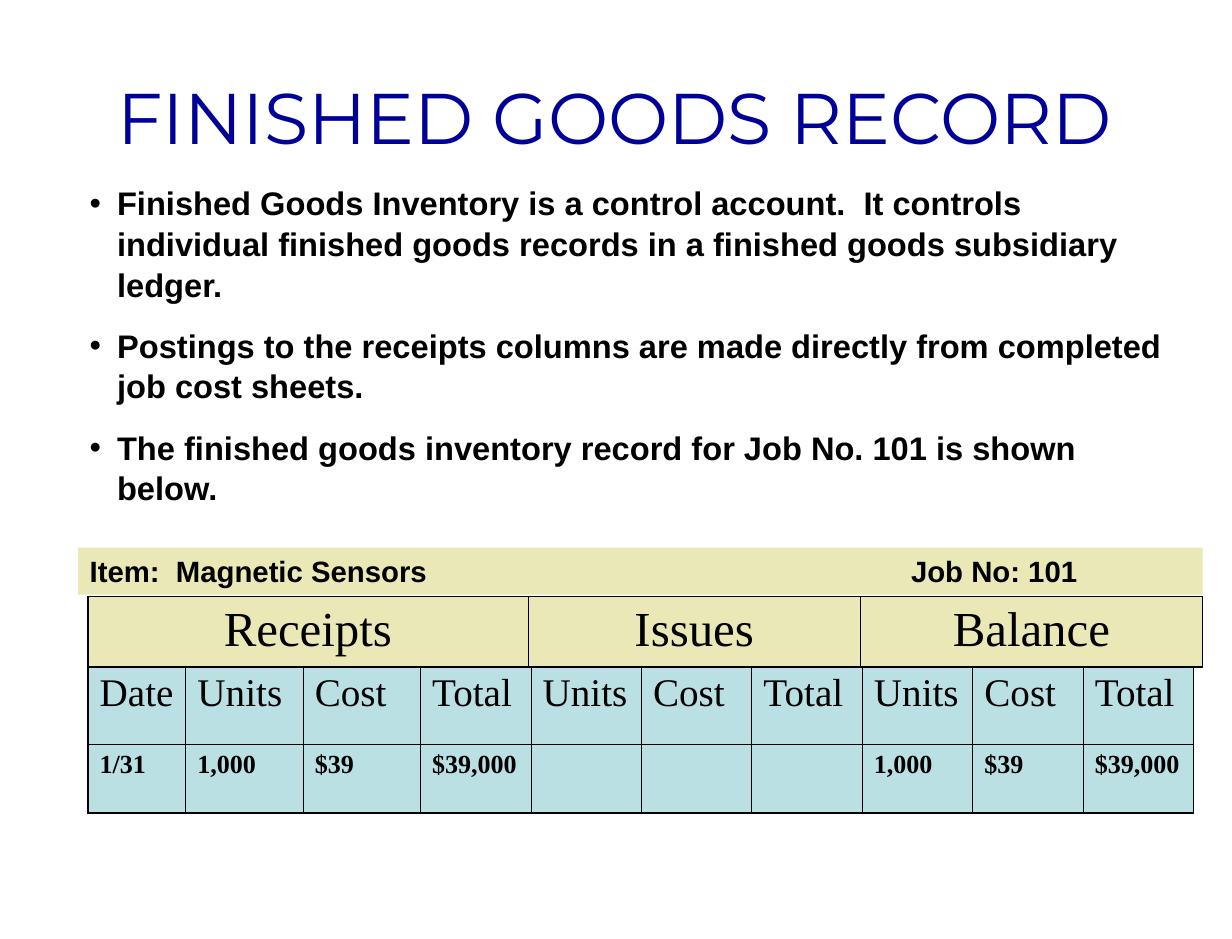
from lxml import etree
from pptx import Presentation
from pptx.dml.color import RGBColor
from pptx.enum.shapes import MSO_SHAPE
from pptx.enum.text import MSO_ANCHOR, PP_ALIGN
from pptx.oxml.ns import qn
from pptx.util import Pt

EMU_PER_PX = 7620  # 120 px to the inch
CENTER, LEFT = PP_ALIGN.CENTER, PP_ALIGN.LEFT
MIDDLE, TOP = MSO_ANCHOR.MIDDLE, MSO_ANCHOR.TOP
RECTANGLE = MSO_SHAPE.RECTANGLE

BLACK, NAVY, SAND, AQUA = "000000", "000099", "E9E8B6", "BBE0E3"
OUTER_LINE, INNER_LINE = 1.08, 0.45

TITLE = {"name": "Montserrat", "size": Pt(44), "bold": False}
BODY = {"name": "Arial", "size": Pt(20), "bold": True}
ITEM = {"name": "Arial", "size": Pt(18), "bold": True}
GROUP = {"name": "Times New Roman", "size": Pt(30), "bold": False}
HEADING = {"name": "Times New Roman", "size": Pt(24), "bold": False}
ENTRY = {"name": "Times New Roman", "size": Pt(16), "bold": True}

POINTS = [
    "Finished Goods Inventory is a control account.  It controls individual "
    "finished goods records in a finished goods subsidiary ledger.",
    "Postings to the receipts columns are made directly from completed job cost sheets.",
    "The finished goods inventory record for Job No. 101 is shown below.",
]
MEASURES = ["Units", "Cost", "Total"]
RECEIPT = ["1,000", "$39", "$39,000"]


def px(length):
    return round(length * EMU_PER_PX)


def color(hex_value):
    return RGBColor.from_string(hex_value)


class RecordSlide:
    def __init__(self, slide):
        self.slide = slide

    def add_text(self, para, text, style, ink=BLACK, align=LEFT):
        para.alignment = align
        span = para.add_run()
        span.text = text
        for name, value in style.items():
            setattr(span.font, name, value)
        span.font.color.rgb = color(ink)

    def text_box(self, bounds, anchor=TOP):
        box = self.slide.shapes.add_textbox(*map(px, bounds))
        box.text_frame.word_wrap = True
        box.text_frame.vertical_anchor = anchor
        return box.text_frame

    def title(self, text, bounds):
        frame = self.text_box(bounds, MIDDLE)
        self.add_text(frame.paragraphs[0], text, TITLE, NAVY, CENTER)

    def bullets(self, points, bounds, indent):
        frame = self.text_box(bounds)
        for index, point in enumerate(points):
            para = frame.add_paragraph() if index else frame.paragraphs[0]
            properties = para._p.get_or_add_pPr()
            properties.set("marL", str(px(indent)))
            properties.set("indent", str(-px(indent)))
            etree.SubElement(properties, qn("a:buFont"), typeface="Arial")
            etree.SubElement(properties, qn("a:buChar"), char="•")
            para.line_spacing = 1.04
            if index:
                para.space_before = Pt(12.5)
            self.add_text(para, point, BODY)

    def banner(self, left_text, right_text, bounds, tab):
        """Filled strip whose right text starts at a tab stop."""
        strip = self.slide.shapes.add_shape(RECTANGLE, *map(px, bounds))
        strip.shadow.inherit = False
        strip.fill.solid()
        strip.fill.fore_color.rgb = color(SAND)
        strip.line.fill.background()
        strip.text_frame.word_wrap = True
        strip.text_frame.vertical_anchor = TOP
        para = strip.text_frame.paragraphs[0]
        stops = etree.SubElement(para._p.get_or_add_pPr(), qn("a:tabLst"))
        etree.SubElement(stops, qn("a:tab"), pos=str(px(tab)), algn="l")
        self.add_text(para, f"{left_text}\t{right_text}", ITEM)

    def border(self, cell, side, width):
        line = etree.SubElement(cell._tc.get_or_add_tcPr(), qn(f"a:ln{side}"),
                                w=str(Pt(width)))
        fill = etree.SubElement(line, qn("a:solidFill"))
        etree.SubElement(fill, qn("a:srgbClr"), val=BLACK)

    def table(self, rows, styles, origin, widths, heights, fill, align=LEFT):
        """Grid with a heavier outline than its inner rules."""
        bounds = (*origin, sum(widths), sum(heights))
        grid = self.slide.shapes.add_table(len(rows), len(widths), *map(px, bounds)).table
        grid.first_row = grid.horz_banding = False
        for column, width in zip(grid.columns, widths):
            column.width = px(width)
        for r, (texts, style) in enumerate(zip(rows, styles)):
            grid.rows[r].height = px(heights[r])
            for c, text in enumerate(texts):
                cell = grid.cell(r, c)
                outer = {"L": c == 0, "R": c == len(widths) - 1,
                         "T": r == 0, "B": r == len(rows) - 1}
                for side, is_outer in outer.items():
                    self.border(cell, side, OUTER_LINE if is_outer else INNER_LINE)
                cell.fill.solid()
                cell.fill.fore_color.rgb = color(fill)
                if text:
                    self.add_text(cell.text_frame.paragraphs[0], text, style, align=align)


def main():
    deck = Presentation()
    deck.slide_width, deck.slide_height = px(1260), px(960)
    page = RecordSlide(deck.slides.add_slide(deck.slide_layouts[6]))

    page.title("FINISHED GOODS RECORD", (62, 38, 1134, 160))
    page.bullets(POINTS, (80, 180, 1140, 254), indent=28)
    page.table([["Date"] + MEASURES * 3, ["1/31"] + RECEIPT + [""] * 3 + RECEIPT],
               [HEADING, ENTRY], (90, 681), [100, 120, 120] + [113] * 7, [80, 70], AQUA)
    page.table([["Receipts", "Issues", "Balance"]], [GROUP],
               (90, 610), [450, 340, 350], [72], SAND, CENTER)
    page.banner("Item:  Magnetic Sensors", "Job No: 101", (80, 560, 1150, 48), tab=840)

    deck.save("out.pptx")


if __name__ == "__main__":
    main()
